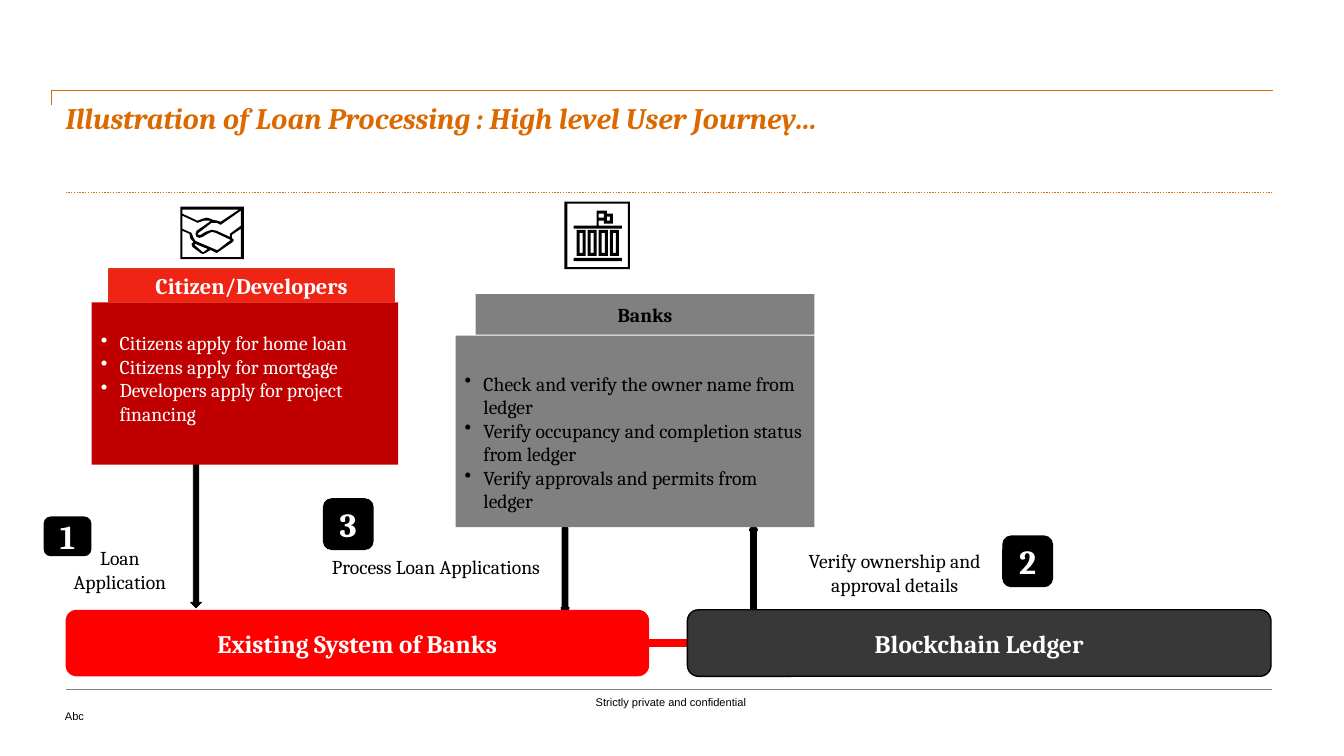
from lxml import etree
from pptx import Presentation
from pptx.dml.color import RGBColor
from pptx.enum.dml import MSO_LINE
from pptx.enum.shapes import MSO_CONNECTOR, MSO_SHAPE
from pptx.enum.text import MSO_ANCHOR, MSO_AUTO_SIZE, PP_ALIGN
from pptx.oxml.ns import qn
from pptx.util import Pt

RECT, ROUND = MSO_SHAPE.RECTANGLE, MSO_SHAPE.ROUNDED_RECTANGLE
ARROW, STRAIGHT = MSO_SHAPE.DOWN_ARROW, MSO_CONNECTOR.STRAIGHT
DOTS = MSO_LINE.ROUND_DOT
LEFT, CENTER = PP_ALIGN.LEFT, PP_ALIGN.CENTER
TOP, MIDDLE = MSO_ANCHOR.TOP, MSO_ANCHOR.MIDDLE

COLORS = {
    "orange": "DC6900", "black": "000000", "white": "FFFFFF",
    "crimson": "C00000", "scarlet": "F02414", "edge": "E0301E",
    "grey": "808080", "dark": "383838", "red": "FF0000",
}
RGB = {name: RGBColor.from_string(code) for name, code in COLORS.items()}

deck = Presentation()
deck.slide_width, deck.slide_height = Pt(960), Pt(540)
slide = deck.slides.add_slide(deck.slide_layouts[5])
shapes = slide.shapes


def write(shape, lines, size, color, align=CENTER, anchor=MIDDLE,
          inset=(0, 0, 0, 0), bullet=False, wrap=True, **style):
    """Fill a shape with paragraphs; inset is left, top, right, bottom."""
    frame = shape.text_frame
    frame.text = "\n".join(lines)
    left, top, right, bottom = map(Pt, inset)
    look = {"word_wrap": wrap, "auto_size": MSO_AUTO_SIZE.NONE,
            "vertical_anchor": anchor, "margin_left": left,
            "margin_top": top, "margin_right": right, "margin_bottom": bottom}
    for key, value in look.items():
        setattr(frame, key, value)
    font = {"name": "Cambria", "size": Pt(size), "bold": False, **style}
    for para in frame.paragraphs:
        para.alignment = align
        for key, value in font.items():
            setattr(para.runs[0].font, key, value)
        para.runs[0].font.color.rgb = RGB[color]
        if bullet:
            props = para._p.get_or_add_pPr()
            props.set("marL", str(Pt(13.5)))
            props.set("indent", str(-Pt(13.5)))
            etree.SubElement(props, qn("a:buChar")).set("char", "•")


def paint(shape, fill, edge=None, width=1):
    shape.shadow.inherit = False
    if fill:
        shape.fill.solid()
        shape.fill.fore_color.rgb = RGB[fill]
    else:
        shape.fill.background()
    if edge:
        shape.line.color.rgb = RGB[edge]
        shape.line.width = Pt(width)
    else:
        shape.line.fill.background()


# Title and frame lines
title = shapes.title
title.left, title.top, title.width, title.height = map(Pt, (46.8, 74.2, 861.8, 58.3))
write(title, ["Illustration of Loan Processing : High level User Journey…"],
      21.2, "orange", LEFT, TOP, bold=True, italic=True)
title.text_frame.paragraphs[0].line_spacing = 0.9

pen = shapes.build_freeform(Pt(36.5), Pt(74.9))
pen.add_line_segments([(Pt(36.5), Pt(64.8)), (Pt(909.4), Pt(64.8))], close=False)
paint(pen.convert_to_shape(), None, "orange", 0.75)

for x1, x2, y, color, width, dash in [
    (46.8, 908.6, 137.5, "orange", 1, DOTS),
    (46.8, 908.6, 492.5, "grey", 0.75, None),
    (463.7, 491, 459.4, "red", 6, None),
]:
    rule = shapes.add_connector(STRAIGHT, Pt(x1), Pt(y), Pt(x2), Pt(y))
    rule.line.color.rgb = RGB[color]
    rule.line.width = Pt(width)
    rule.line.dash_style = dash
    etree.SubElement(rule._element.spPr, qn("a:effectLst"))

# Arrows between roles and systems
for x, y, w, h, turn, width in [
    (136.1, 306, 7.9, 128.2, 0, 0.5),
    (401.8, 377.3, 3.6, 59, 0, 3),
    (536.4, 376.6, 3.6, 59, 180, 3),
]:
    arrow = shapes.add_shape(ARROW, Pt(x), Pt(y), Pt(w), Pt(h))
    arrow.rotation = turn
    paint(arrow, "black", "black", width)

# Role cards
for box, fill, color, inset, tasks in [
    ((65.5, 216, 218.9, 115.9), "crimson", "white", (6.5, 20.4, 6.5, 3.6),
     ["Citizens apply for home loan", "Citizens apply for mortgage",
      "Developers apply for project financing"]),
    ((325.4, 239.8, 256.3, 136.8), "grey", "black", (6.5, 25.6, 6.5, 0),
     ["Check and verify the owner name from ledger",
      "Verify occupancy and completion status from ledger",
      "Verify approvals and permits from ledger"]),
]:
    card = shapes.add_shape(RECT, *map(Pt, box))
    paint(card, fill)
    write(card, tasks, 14, color, LEFT, TOP, inset, bullet=True)

# Headings, systems and step numbers
for kind, box, fill, edge, label, size, color in [
    (RECT, (77.8, 192.2, 203.8, 23.8), "scarlet", "edge", "Citizen/Developers", 16, "white"),
    (RECT, (339.8, 210.2, 241.9, 28.8), "grey", None, "Banks", 14, "black"),
    (ROUND, (46.8, 435.6, 416.9, 47.5), "red", None, "Existing System of Banks", 18, "white"),
    (ROUND, (491, 435.6, 416.9, 47.5), "dark", "black", "Blockchain Ledger", 18, "white"),
    (ROUND, (31.7, 369.4, 33.1, 27.4), "black", "black", "1", 24, "white"),
    (ROUND, (716.4, 383, 35.3, 36), "black", "black", "2", 24, "white"),
    (ROUND, (231.1, 356.4, 35.3, 36), "black", "black", "3", 24, "white"),
]:
    block = shapes.add_shape(kind, *map(Pt, box))
    paint(block, fill, edge)
    write(block, [label], size, color, bold=True)

# Step captions and footer
for box, label, size, face, align, wrap in [
    ((39.6, 390.2, 92.2, 33.8), "Loan Application", 14, "Cambria", CENTER, True),
    ((556.6, 392.4, 164.9, 33.8), "Verify ownership and approval details", 14, "Cambria", CENTER, True),
    ((229, 396.7, 164.9, 17.3), "Process Loan Applications", 14, "Cambria", CENTER, True),
    ((46.4, 506.9, 88.6, 9.4), "Abc", 7.9, "Arial", LEFT, False),
    ((425.5, 496.8, 112.3, 9.4), "Strictly private and confidential", 7.9, "Arial", LEFT, False),
]:
    note = shapes.add_textbox(*map(Pt, box))
    write(note, [label], size, "black", align, TOP, wrap=wrap, name=face)

# Icons: outlines on a grid of 0.72 points
hands = [
    [(179, 205), (242, 205), (242, 257), (179, 257)],
    [(194, 242), (206, 247), (202, 250), (201, 250), (193, 243)],
    [(194, 239), (192, 236), (190, 231), (181, 227), (181, 214), (196, 221),
     (202, 219), (208, 219), (208, 220), (195, 229), (194, 232), (195, 235),
     (198, 236), (201, 235), (206, 232), (210, 230), (214, 231), (229, 238),
     (216, 248), (215, 248)],
    [(228, 232), (228, 235), (215, 229), (210, 228), (204, 230), (199, 233),
     (197, 233), (196, 232), (197, 231), (210, 221), (215, 221), (219, 223),
     (239, 209), (239, 224)],
    [(237, 208), (219, 220), (216, 219), (211, 218), (209, 217), (205, 216),
     (201, 217), (196, 219), (181, 212), (181, 208)],
    [(181, 255), (181, 229), (188, 232), (189, 237), (192, 240), (190, 242),
     (191, 245), (199, 251), (201, 252), (204, 251), (209, 248), (213, 250),
     (215, 251), (218, 249), (231, 240), (232, 238), (230, 236), (230, 233),
     (239, 227), (239, 255)],
]
bars = [(560, 200, 625, 267), (563, 202, 623, 265), (569, 256, 617, 259),
        (602, 215, 605, 219), (594, 212, 599, 216)]
for x in (572, 583, 594, 605):
    bars += [(x, 228, x + 9, 254), (x + 3, 231, x + 6, 251)]
bank = [[(l, t), (r, t), (r, b), (l, b)] for l, t, r, b in bars]
bank.append([(617, 224), (594, 224), (594, 219), (599, 219), (599, 222),
             (608, 222), (608, 212), (602, 212), (602, 209), (592, 209),
             (592, 224), (569, 224), (569, 227), (617, 227)])

for icon in (hands, bank):
    pen = shapes.build_freeform(*icon[0][0], scale=Pt(0.72))
    pen.add_line_segments(icon[0][1:])
    for loop in icon[1:]:
        pen.move_to(*loop[0])
        pen.add_line_segments(loop[1:])
    paint(pen.convert_to_shape(), "black")

deck.save("out.pptx")
